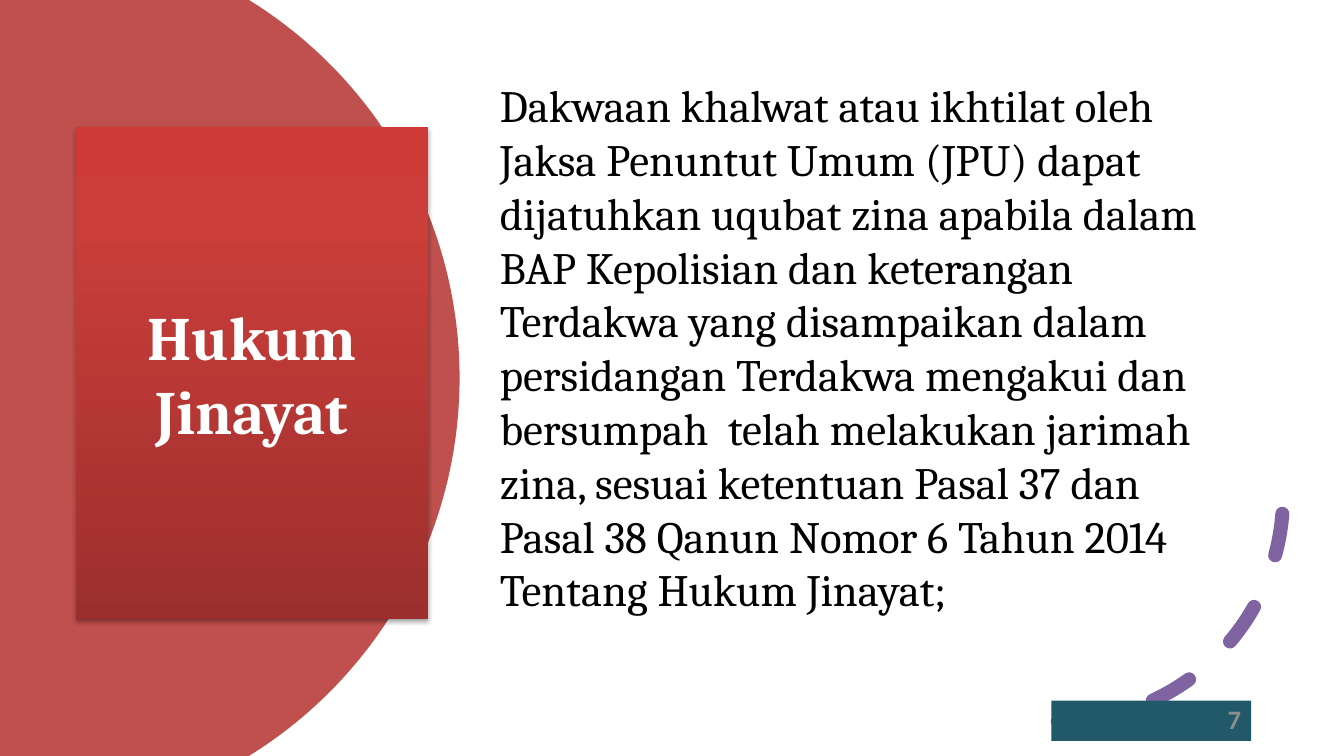
from copy import deepcopy
from math import asin, cos, sin

from lxml import etree
from pptx import Presentation
from pptx.dml.color import RGBColor
from pptx.enum.dml import MSO_LINE
from pptx.enum.shapes import MSO_SHAPE
from pptx.enum.text import MSO_ANCHOR, PP_ALIGN
from pptx.oxml.ns import qn
from pptx.util import Pt

RECTANGLE, ARC = MSO_SHAPE.RECTANGLE, MSO_SHAPE.ARC
LEFT, CENTER, RIGHT = PP_ALIGN.LEFT, PP_ALIGN.CENTER, PP_ALIGN.RIGHT
MIDDLE = MSO_ANCHOR.MIDDLE
DASH = MSO_LINE.DASH

WIDTH, HEIGHT = 960, 540
BODY = (
    "Dakwaan khalwat atau ikhtilat oleh Jaksa Penuntut Umum (JPU) dapat "
    "dijatuhkan uqubat zina apabila dalam BAP Kepolisian dan keterangan "
    "Terdakwa yang disampaikan dalam persidangan Terdakwa mengakui dan "
    "bersumpah  telah melakukan jarimah zina, sesuai ketentuan Pasal 37 dan "
    "Pasal 38 Qanun Nomor 6 Tahun 2014 Tentang Hukum Jinayat;"
)


def color(value):
    return RGBColor.from_string(value)


class SlideBuilder:
    heading_font = "Cambria"
    number_font = "Calibri"

    def __init__(self, slide):
        self.shapes = slide.shapes

    def shape(self, kind, bounds):
        shape = self.shapes.add_shape(kind, *map(Pt, bounds))
        shape.shadow.inherit = False
        shape.line.fill.background()
        return shape

    def panel(self, bounds, fill):
        panel = self.shape(RECTANGLE, bounds)
        panel.fill.solid()
        panel.fill.fore_color.rgb = color(fill)
        return panel

    def gradient_panel(self, bounds, stops):
        """Draw a panel shaded from bottom to top, with a soft shadow below."""
        panel = self.shape(RECTANGLE, bounds)
        panel.fill.gradient()
        panel.fill.gradient_angle = 90
        properties = panel._element.spPr
        stop_list = properties.find(".//" + qn("a:gsLst"))
        while len(stop_list) < len(stops):
            stop_list.append(deepcopy(stop_list[0]))
        for stop, (position, value) in zip(panel.fill.gradient_stops, stops):
            stop.position = position
            stop.color.rgb = color(value)
        effects = properties.find(qn("a:effectLst"))
        shadow = etree.SubElement(
            effects, qn("a:outerShdw"), blurRad=str(Pt(3.1)),
            dist=str(Pt(1.8)), dir="5400000", rotWithShape="0")
        black = etree.SubElement(shadow, qn("a:srgbClr"), val="000000")
        etree.SubElement(black, qn("a:alpha"), val="35000")
        return panel

    def clipped_disc(self, center_x, center_y, radius, fill, steps=120):
        """Draw the part of a disc that lies between the slide's edges."""
        limit = asin(center_y / radius)
        angles = [limit * (2 * step / steps - 1) for step in range(steps + 1)]
        points = [(Pt(center_x + radius * cos(angle)),
                   Pt(center_y + radius * sin(angle))) for angle in angles]
        outline = self.shapes.build_freeform(0, 0)
        outline.add_line_segments(points + [(0, Pt(HEIGHT))], close=True)
        disc = outline.convert_to_shape()
        disc.shadow.inherit = False
        disc.line.fill.background()
        disc.fill.solid()
        disc.fill.fore_color.rgb = color(fill)

    def dashed_arc(self, bounds, stroke, width):
        """Draw the lower right quarter of a circle with round dashes."""
        arc = self.shape(ARC, bounds)
        arc.fill.background()
        arc.line.color.rgb = color(stroke)
        arc.line.width = Pt(width)
        arc.line.dash_style = DASH
        properties = arc._element.spPr
        properties.find(qn("a:ln")).set("cap", "rnd")
        properties.find(qn("a:xfrm")).set("flipV", "1")

    def text_box(self, bounds):
        return self.shapes.add_textbox(*map(Pt, bounds))

    def add_text(self, box, text, size, fill, font, align=LEFT, bold=False):
        frame = box.text_frame
        frame.word_wrap = True
        frame.vertical_anchor = MIDDLE
        frame.text = text
        para = frame.paragraphs[0]
        para.alignment = align
        para.font.name = font
        para.font.size = Pt(size)
        para.font.bold = bold
        para.font.color.rgb = color(fill)
        return para


def main():
    deck = Presentation()
    deck.slide_width, deck.slide_height = Pt(WIDTH), Pt(HEIGHT)
    page = SlideBuilder(deck.slides.add_slide(deck.slide_layouts[6]))

    page.clipped_disc(10.8, HEIGHT / 2, 317.5, "C0504D")
    title = page.gradient_panel(
        (54, 90.7, 252, 351.4),
        [(0, "9C2F2D"), (0.8, "CB3E3A"), (1, "CE3B37")])
    page.add_text(title, "Hukum Jinayat", 44, "FFFFFF", page.heading_font,
                  CENTER, bold=True)
    page.dashed_arc((594.7, 193.7, 321.8, 321.8), "8064A2", 10)
    body = page.text_box((350, 46.8, 543.6, 402))
    page.add_text(body, BODY, 32, "000000", page.heading_font)

    badge = page.panel((751, 500.4, 142.6, 28.8), "215968")
    number = page.add_text(badge, "7", 19, "8C8C8C", page.number_font,
                           RIGHT, bold=True)
    number.line_spacing = 0.9
    number.space_after = Pt(6)

    deck.save("out.pptx")


if __name__ == "__main__":
    main()
